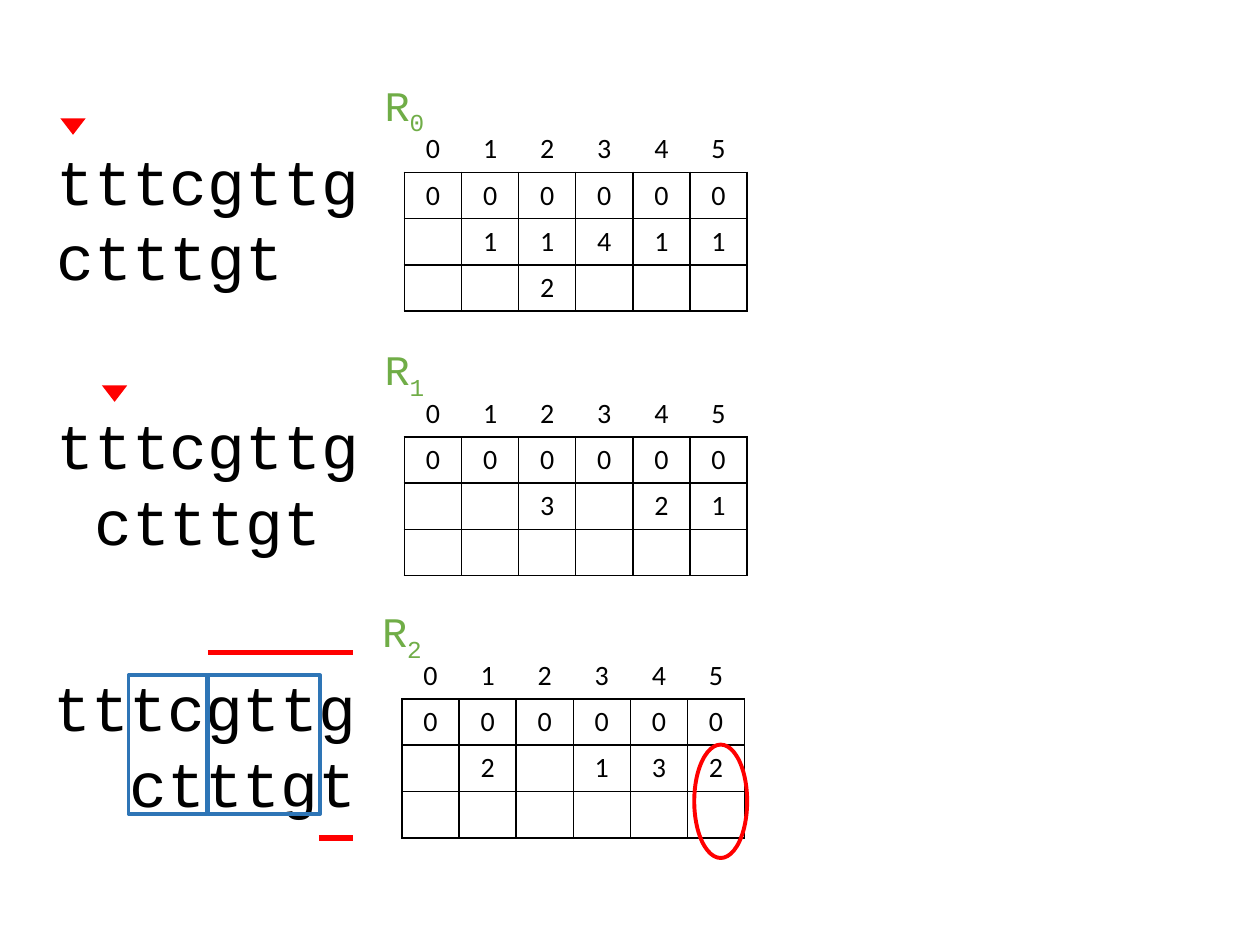
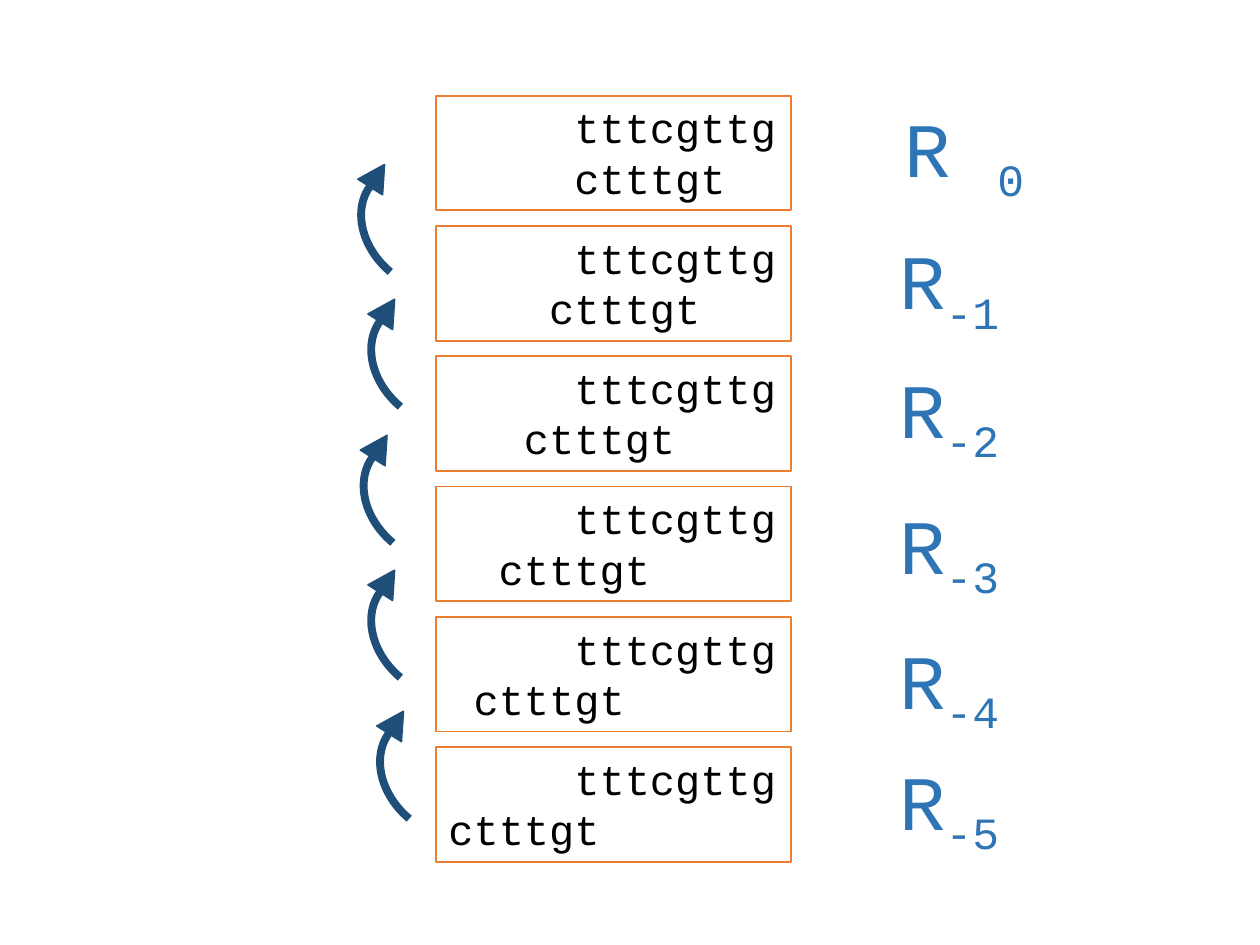
"""Build two slides on shifted sequence alignments and their run-length tables."""
from lxml.etree import SubElement
from pptx import Presentation
from pptx.dml.color import RGBColor
from pptx.enum.shapes import MSO_CONNECTOR as LINE, MSO_SHAPE as SHAPE
from pptx.enum.text import MSO_ANCHOR as ANCHOR, PP_ALIGN as ALIGN
from pptx.oxml.ns import qn
from pptx.util import Emu, Inches, Pt

TEXT, PATTERN = "tttcgttg", "ctttgt"
BLACK, RED, GREEN = "000000", "FF0000", "70AD47"
BLUE, NAVY, ORANGE = "2E75B6", "1F4E79", "ED7D31"
MONO, SANS = "Courier New", "Calibri"
NO_STYLE = "{2D5ABB26-0587-4C30-8999-92F81FD0307C}"

SHIFTS = [
    (3.21, 1.00, ["", "1", "1", "4", "1", "1"], ["", "", "2", "", "", ""]),
    (3.21, 3.10, ["", "", "3", "", "2", "1"], [""] * 6),
    (3.19, 5.18, ["", "2", "", "1", "3", "2"], [""] * 6),
]
POINTERS = [(0.48, 0.94), (0.81, 3.06)]
MATCHES = [(1.02, 0.62), (1.65, 0.89)]
MISMATCHES = [(1.65, 2.8, 5.18), (2.53, 2.8, 6.65)]
COLUMN, ROW = 2.72 / 6, 1.47 / 4
ROW_SIDES = ["B", "LTRB", "LTR", "LRB"]

SUBSCRIPTS = [("R ", "0 ", 0.75, 1.31), ("R", "-1", 1.8, 1.07), ("R", "-2", 2.82, 1.07),
              ("R", "-3", 3.9, 1.07), ("R", "-4", 4.97, 1.07), ("R", "-5", 5.93, 1.07)]
STEPS = [(2.82, 1.38), (2.9, 2.45), (2.84, 3.53), (2.9, 4.6), (2.97, 5.72)]
FRAME_TOP, FRAME_PITCH = 0.76, 1.034


def rgb(value):
    return RGBColor.from_string(value)


def inches(*lengths):
    return [Inches(length) for length in lengths]


def set_font(font, name, size, color):
    font.name, font.size = name, Pt(size)
    font.color.rgb = rgb(color)


def add_figure(shapes, kind, box, fill=None, line=None, width=1, rotation=0):
    figure = shapes.add_shape(kind, *inches(*box))
    figure.shadow.inherit = False
    figure.rotation = rotation
    if fill:
        figure.fill.solid()
        figure.fill.fore_color.rgb = rgb(fill)
    else:
        figure.fill.background()
    if line:
        figure.line.color.rgb = rgb(line)
        figure.line.width = Pt(width)
    else:
        figure.line.fill.background()
    return figure


def write_alignment(frame, size, text_shift, pattern_shift):
    frame.word_wrap = True
    frame.vertical_anchor = ANCHOR.TOP
    frame.text = f"{TEXT}\n{PATTERN}"
    letter = Pt(size * 0.6)
    for paragraph, shift in zip(frame.paragraphs, (text_shift, pattern_shift)):
        paragraph.alignment = ALIGN.LEFT
        paragraph._p.get_or_add_pPr().set("marL", str(letter * shift))
        set_font(paragraph.font, MONO, size, BLACK)


def add_label(slide, box, base, subscript, size, color):
    frame = slide.shapes.add_textbox(*inches(*box)).text_frame
    frame.word_wrap = False
    paragraph = frame.paragraphs[0]
    paragraph.alignment = ALIGN.CENTER
    set_font(paragraph.font, MONO, size, color)
    paragraph.add_run().text = base
    index = paragraph.add_run()
    index.text = subscript
    index._r.get_or_add_rPr().set("baseline", "-25000")


def add_border(cell, side):
    line = SubElement(cell._tc.get_or_add_tcPr(), qn(f"a:ln{side}"), w=str(Pt(1)))
    SubElement(SubElement(line, qn("a:solidFill")), qn("a:srgbClr"), val=BLACK)


def add_run_table(slide, left, top, *runs):
    rows = [[str(column) for column in range(6)], ["0"] * 6, *runs]
    table = slide.shapes.add_table(4, 6, *inches(left, top, COLUMN * 6, ROW * 4)).table
    table.first_row = table.horz_banding = False
    table._tbl.tblPr.find(qn("a:tableStyleId")).text = NO_STYLE
    for column in table.columns:
        column.width = Inches(COLUMN)
    for r, values in enumerate(rows):
        table.rows[r].height = Inches(ROW)
        for c, value in enumerate(values):
            cell = table.cell(r, c)
            cell.margin_top = cell.margin_bottom = Emu(0)
            cell.vertical_anchor = ANCHOR.MIDDLE
            for side in "LRTB":
                if side in ROW_SIDES[r]:
                    add_border(cell, side)
            cell.fill.background()
            cell.text = value
            paragraph = cell.text_frame.paragraphs[0]
            paragraph.alignment = ALIGN.CENTER
            set_font(paragraph.font, SANS, 16, BLACK)


def build_right_shifts(slide):
    for shift, (left, top, *runs) in enumerate(SHIFTS):
        alignment = slide.shapes.add_textbox(*inches(left - 2.86, top + 0.08, 2.63, 1.31))
        write_alignment(alignment.text_frame, 36, 0, shift)
        add_run_table(slide, left, top, *runs)
        add_label(slide, (left - 0.27, top - 0.42, 0.54, 0.5), "R", str(shift), 24, GREEN)
    for left, width in MATCHES:
        add_figure(slide.shapes, SHAPE.RECTANGLE, (left, 5.36, width, 1.1), line=BLUE, width=2.25)
    for left, top in POINTERS:
        add_figure(slide.shapes, SHAPE.FLOWCHART_MERGE, (left, top, 0.2, 0.13), fill=RED)
    add_figure(slide.shapes, SHAPE.OVAL, (5.51, 5.91, 0.42, 0.9), line=RED, width=2.25)
    for start, end, y in MISMATCHES:
        bar = slide.shapes.add_connector(LINE.STRAIGHT, *inches(start, y, end, y))
        bar.line.color.rgb = rgb(RED)
        bar.line.width = Pt(3)
        SubElement(bar._element.spPr, qn("a:effectLst"))


def build_left_shifts(slide):
    for shift, (base, subscript, top, width) in enumerate(SUBSCRIPTS):
        box = (3.46, FRAME_TOP + FRAME_PITCH * shift, 2.82, 0.91)
        frame = add_figure(slide.shapes, SHAPE.RECTANGLE, box, line=ORANGE)
        write_alignment(frame.text_frame, 24, 5, 5 - shift)
        add_label(slide, (7, top, width, 0.84), base, subscript, 44, BLUE)
    for left, top in STEPS:
        arrow = slide.shapes.add_group_shape().shapes
        add_figure(arrow, SHAPE.ARC, (left, top, 1.12, 0.88),
                   line=NAVY, width=4.5, rotation=219.9)
        add_figure(arrow, SHAPE.ISOSCELES_TRIANGLE, (left + 0.06, top - 0.09, 0.23, 0.21),
                   fill=NAVY, line=NAVY, rotation=32.4)


def main():
    deck = Presentation()
    deck.slide_width, deck.slide_height = inches(10, 7.5)
    for build in (build_right_shifts, build_left_shifts):
        build(deck.slides.add_slide(deck.slide_layouts[6]))
    deck.save("out.pptx")


if __name__ == "__main__":
    main()
